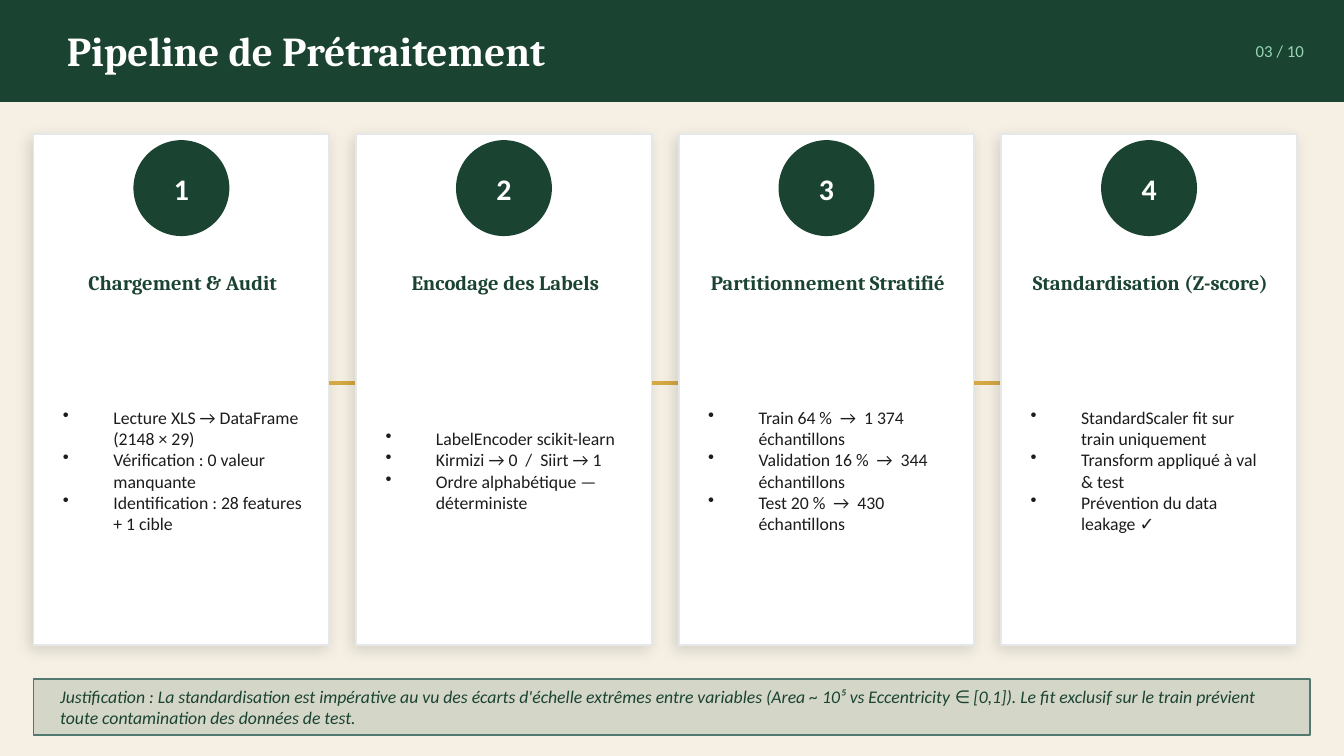
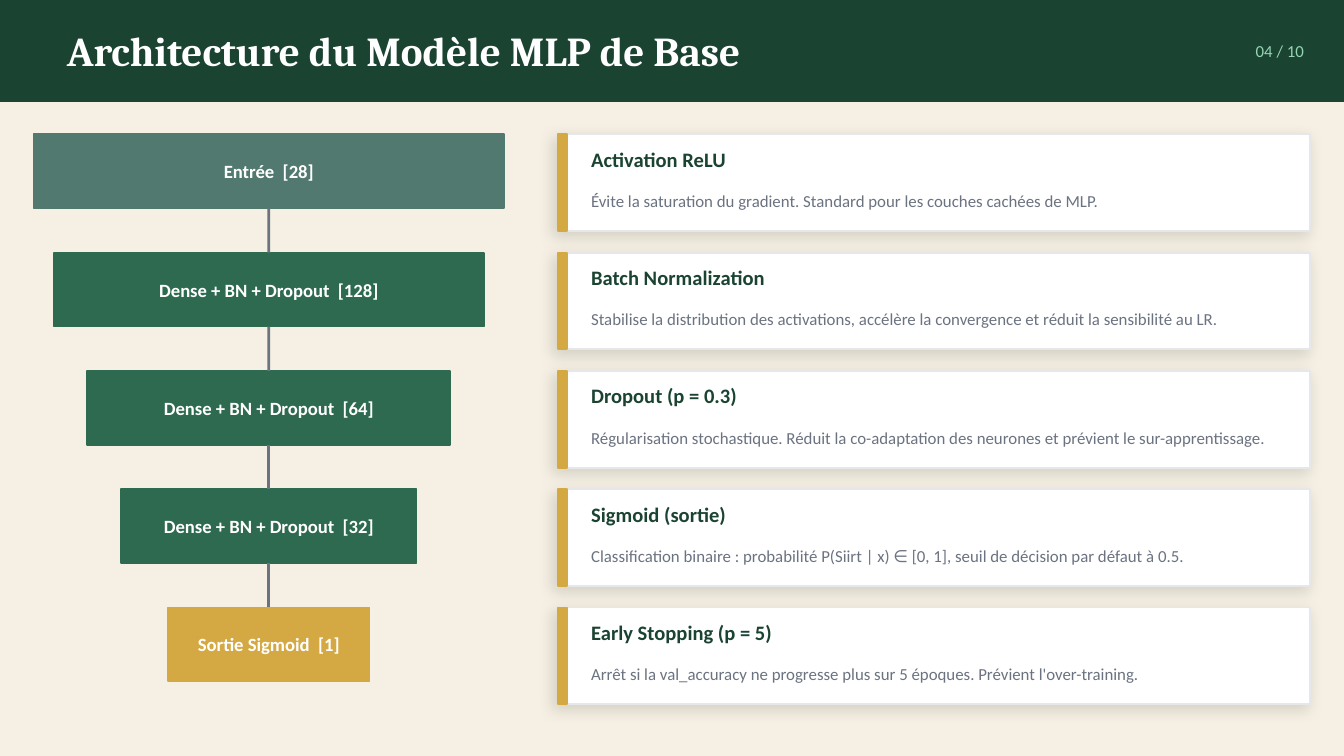
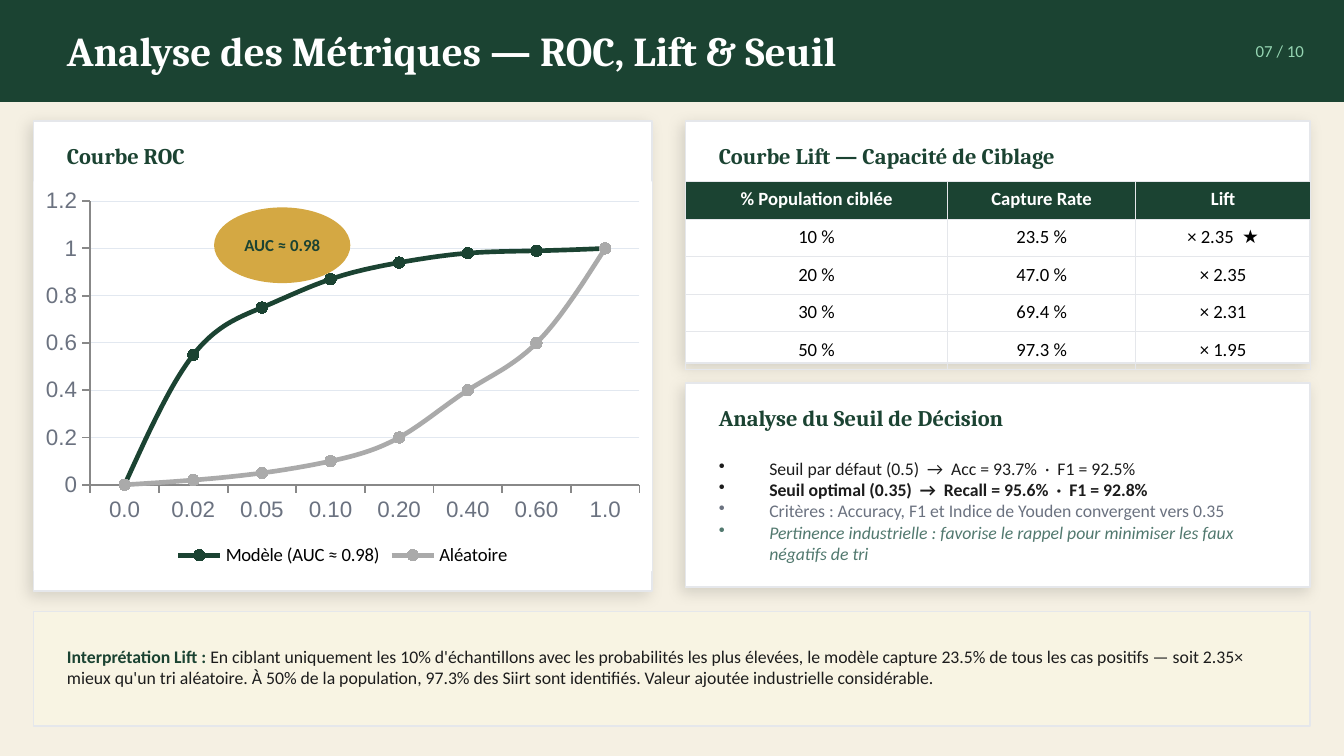
from pptx import Presentation
from pptx.chart.data import CategoryChartData
from pptx.dml.color import RGBColor
from pptx.enum.chart import XL_CHART_TYPE, XL_LEGEND_POSITION, XL_MARKER_STYLE, XL_TICK_LABEL_POSITION
from pptx.enum.shapes import MSO_CONNECTOR, MSO_SHAPE
from pptx.enum.text import MSO_ANCHOR, PP_ALIGN
from pptx.oxml import parse_xml
from pptx.oxml.ns import nsdecls, qn
from pptx.util import Pt

RECT, OVAL = MSO_SHAPE.RECTANGLE, MSO_SHAPE.OVAL
STRAIGHT = MSO_CONNECTOR.STRAIGHT
LEFT, CENTER, RIGHT = PP_ALIGN.LEFT, PP_ALIGN.CENTER, PP_ALIGN.RIGHT
MIDDLE = MSO_ANCHOR.MIDDLE
LINES = XL_CHART_TYPE.LINE_MARKERS
BOTTOM = XL_LEGEND_POSITION.BOTTOM
LOW = XL_TICK_LABEL_POSITION.LOW
DOT = XL_MARKER_STYLE.CIRCLE

CREAM = RGBColor(0xF5, 0xF0, 0xE3)
FOREST = RGBColor(0x1B, 0x43, 0x32)
GREEN = RGBColor(0x2D, 0x6A, 0x4F)
SAGE = RGBColor(0x52, 0x79, 0x6F)
MINT = RGBColor(0x95, 0xD5, 0xB2)
GOLD = RGBColor(0xD4, 0xA8, 0x43)
IVORY = RGBColor(0xF8, 0xF4, 0xE3)
WHITE = RGBColor(0xFF, 0xFF, 0xFF)
BLACK = RGBColor(0x00, 0x00, 0x00)
INK = RGBColor(0x1C, 0x1C, 0x1C)
GRAY = RGBColor(0x6B, 0x72, 0x80)
EDGE = RGBColor(0xE5, 0xE7, 0xEB)
GRID = RGBColor(0xE2, 0xE8, 0xF0)
AXIS = RGBColor(0x88, 0x88, 0x88)
SILVER = RGBColor(0xAA, 0xAA, 0xAA)

HEAD, BODY, PLAIN = "Cambria", "Calibri", "Arial"
WIDE, TALL = 720, 405
BAND = 54
EDGE_X = 18
FULL = WIDE - 2 * EDGE_X
INDENT = 27


def graft(home, xml):
    tag, rest = xml.split(" ", 1)
    home.append(parse_xml(f"{tag} {nsdecls('a')} {rest}"))


def style(font, size=9.5, name=BODY, color=INK, bold=False, italic=False):
    font.size, font.name = Pt(size), name
    font.bold, font.italic = bold, italic
    font.color.rgb = color


def write(frame, text, align=LEFT, bullet=False, **look):
    rows = text if isinstance(text, list) else [text]
    for spot, row in enumerate(rows):
        para = frame.add_paragraph() if spot else frame.paragraphs[0]
        para.alignment = align
        if bullet:
            props = para._p.get_or_add_pPr()
            props.set("marL", str(Pt(INDENT)))
            props.set("indent", str(-Pt(INDENT)))
            graft(props, '<a:buChar char="•"/>')
        for words, extra in [(row, {})] if isinstance(row, str) else row:
            run = para.add_run()
            run.text = words
            style(run.font, **{**look, **extra})


def stroke(line, color, width=1):
    line.color.rgb = color
    line.width = Pt(width)


class Deck:
    def __init__(self):
        self.show = Presentation()
        self.show.slide_width, self.show.slide_height = Pt(WIDE), Pt(TALL)
        self.slide = None

    def page(self, title, number):
        self.slide = self.show.slides.add_slide(self.show.slide_layouts[6])
        fill = self.slide.background.fill
        fill.solid()
        fill.fore_color.rgb = CREAM
        self.shape(0, 0, WIDE, BAND, FOREST)
        self.text(28.8, 0, 576, BAND, title, size=22, name=HEAD, color=WHITE, bold=True)
        self.text(619.2, 0, 86.4, BAND, f"{number:02} / 10", align=RIGHT, size=9, color=MINT)

    def shape(self, x, y, w, h, color, kind=RECT, edge=None, alpha=None):
        item = self.slide.shapes.add_shape(kind, Pt(x), Pt(y), Pt(w), Pt(h))
        item.fill.solid()
        item.fill.fore_color.rgb = color
        if alpha:
            tint = item.element.spPr.find(qn("a:solidFill"))[0]
            graft(tint, f'<a:alpha val="{alpha * 1000}"/>')
        stroke(item.line, edge or color)
        item.shadow.inherit = False
        return item

    def card(self, x, y, w, h):
        item = self.shape(x, y, w, h, WHITE, edge=EDGE)
        graft(item.element.spPr.find(qn("a:effectLst")),
              f'<a:outerShdw blurRad="{Pt(8)}" dist="{Pt(3)}" dir="8100000" algn="bl" rotWithShape="0">'
              '<a:srgbClr val="000000"><a:alpha val="12000"/></a:srgbClr></a:outerShdw>')

    def badge(self, x, y, w, h, fill, text, kind=RECT, **look):
        item = self.shape(x, y, w, h, fill, kind)
        frame = item.text_frame
        frame.margin_left = frame.margin_right = frame.margin_top = frame.margin_bottom = 0
        frame.word_wrap, frame.vertical_anchor = True, MIDDLE
        write(frame, text, align=CENTER, bold=True, **look)
        return item

    def text(self, x, y, w, h, text, **look):
        frame = self.slide.shapes.add_textbox(Pt(x), Pt(y), Pt(w), Pt(h)).text_frame
        frame.word_wrap, frame.vertical_anchor = True, MIDDLE
        write(frame, text, **look)

    def panel(self, x, y, w, h, title):
        self.card(x, y, w, h)
        self.text(x + 10.8, y + 5.76, w - 25, 25.2, title, size=12, name=HEAD, color=FOREST, bold=True)

    def link(self, x1, y1, x2, y2, color, width):
        item = self.slide.shapes.add_connector(STRAIGHT, Pt(x1), Pt(y1), Pt(x2), Pt(y2))
        stroke(item.line, color, width)
        graft(item.element.spPr, "<a:effectLst />")
        return item

    def table(self, x, y, cols, high, rows):
        table = self.slide.shapes.add_table(
            len(rows), len(cols), Pt(x), Pt(y), Pt(sum(cols)), Pt(high * len(rows))).table
        table.horz_banding = False
        for col, wide in zip(table.columns, cols):
            col.width = Pt(wide)
        for r, row in enumerate(rows):
            table.rows[r].height = Pt(high)
            for c, words in enumerate(row):
                cell = table.cell(r, c)
                for side in "LRTB":
                    graft(cell._tc.get_or_add_tcPr(),
                          f'<a:ln{side} w="{Pt(0.5)}"><a:solidFill><a:srgbClr val="{EDGE}"/>'
                          f'</a:solidFill></a:ln{side}>')
                if r:
                    cell.fill.background()
                else:
                    cell.fill.solid()
                    cell.fill.fore_color.rgb = FOREST
                write(cell.text_frame, words, align=CENTER, size=10,
                      color=BLACK if r else WHITE, bold=not r)

    def chart(self, x, y, w, h, cats, data):
        source = CategoryChartData()
        source.categories = cats
        for name, values, _ in data:
            source.add_series(name, values)
        chart = self.slide.shapes.add_chart(LINES, Pt(x), Pt(y), Pt(w), Pt(h), source).chart
        style(chart.font, size=10, color=BLACK)
        chart.has_title = False
        chart.has_legend = True
        chart.legend.position = BOTTOM
        chart.legend.include_in_layout = False
        back = parse_xml(f'<c:spPr {nsdecls("c", "a")}><a:solidFill><a:srgbClr val="{WHITE}"/>'
                         '</a:solidFill><a:ln><a:noFill/></a:ln></c:spPr>')
        chart.element.find(qn("c:chart")).addnext(back)
        for axis in (chart.category_axis, chart.value_axis):
            style(axis.tick_labels.font, size=12, name=PLAIN, color=GRAY)
            stroke(axis.format.line, AXIS)
        chart.category_axis.tick_label_position = LOW
        chart.value_axis.has_major_gridlines = True
        stroke(chart.value_axis.major_gridlines.format.line, GRID, 0.5)
        plot = chart.plots[0]
        plot.vary_by_categories = False
        for line, (_, _, color) in zip(plot.series, data):
            line.smooth = True
            stroke(line.format.line, color, 2.5)
            line.marker.style, line.marker.size = DOT, 6
            line.marker.format.fill.solid()
            line.marker.format.fill.fore_color.rgb = color
            stroke(line.marker.format.line, color)


def steps(deck):
    deck.page("Pipeline de Prétraitement", 3)
    cards = [
        ("Chargement & Audit",
         ["Lecture XLS → DataFrame (2148 × 29)", "Vérification : 0 valeur manquante",
          "Identification : 28 features + 1 cible"]),
        ("Encodage des Labels",
         ["LabelEncoder scikit-learn", "Kirmizi → 0  /  Siirt → 1", "Ordre alphabétique — déterministe"]),
        ("Partitionnement Stratifié",
         ["Train 64 %  →  1 374 échantillons", "Validation 16 %  →  344 échantillons",
          "Test 20 %  →  430 échantillons"]),
        ("Standardisation (Z-score)",
         ["StandardScaler fit sur train uniquement", "Transform appliqué à val & test",
          "Prévention du data leakage ✓"]),
    ]
    wide, pitch = 158.4, 172.8
    for spot, (title, points) in enumerate(cards):
        x = EDGE_X + spot * pitch
        deck.card(x, 72, wide, 273.6)
        deck.badge(x + 54, 75.6, 50.4, 50.4, FOREST, str(spot + 1), OVAL, size=16, color=WHITE)
        deck.text(x + 8.64, 133.2, 142.56, 36, title, align=CENTER,
                  size=11, name=HEAD, color=FOREST, bold=True)
        deck.text(x + 8.64, 176.4, 142.56, 151.2, points, bullet=True)
        if spot < len(cards) - 1:
            deck.link(x + wide, 205.2, x + wide + 15.84, 205.2, GOLD, 2)
    deck.shape(EDGE_X, 363.6, FULL, 30.24, FOREST, edge=SAGE, alpha=15)
    deck.text(25.2, 365.76, 662.4, 25.92,
              "Justification : La standardisation est impérative au vu des écarts d'échelle extrêmes "
              "entre variables (Area ~ 10⁵ vs Eccentricity ∈ [0,1]). Le fit exclusif sur le train "
              "prévient toute contamination des données de test.", color=FOREST, italic=True)


def model(deck):
    deck.page("Architecture du Modèle MLP de Base", 4)
    layers = [
        ("Entrée  [28]", 252, SAGE),
        ("Dense + BN + Dropout  [128]", 230.4, GREEN),
        ("Dense + BN + Dropout  [64]", 194.4, GREEN),
        ("Dense + BN + Dropout  [32]", 158.4, GREEN),
        ("Sortie Sigmoid  [1]", 108, GOLD),
    ]
    notes = [
        ("Activation ReLU",
         "Évite la saturation du gradient. Standard pour les couches cachées de MLP."),
        ("Batch Normalization",
         "Stabilise la distribution des activations, accélère la convergence et réduit la sensibilité au LR."),
        ("Dropout (p = 0.3)",
         "Régularisation stochastique. Réduit la co-adaptation des neurones et prévient le sur-apprentissage."),
        ("Sigmoid (sortie)",
         "Classification binaire : probabilité P(Siirt | x) ∈ [0, 1], seuil de décision par défaut à 0.5."),
        ("Early Stopping (p = 5)",
         "Arrêt si la val_accuracy ne progresse plus sur 5 époques. Prévient l'over-training."),
    ]
    top, pitch, axis = 72, 63.36, 144
    last = None
    for spot, (name, wide, color) in enumerate(layers):
        y = top + spot * pitch
        block = deck.badge(axis - wide / 2, y, wide, 39.6, color, name, size=10, color=WHITE)
        if last:
            wire = deck.link(axis, y - 23.76, axis, y, GRAY, 1.5)
            wire.begin_connect(last, 2)
            wire.end_connect(block, 0)
        last = block
    for spot, (title, words) in enumerate(notes):
        y = top + spot * pitch
        deck.card(298.8, y, 403.2, 51.84)
        deck.shape(298.8, y, 5.04, 51.84, GOLD)
        deck.text(309.6, y + 3.6, 381.6, 19.44, title, size=11, color=FOREST, bold=True)
        deck.text(309.6, y + 23.04, 381.6, 25.2, words, size=9, color=GRAY)


def scores(deck):
    deck.page("Analyse des Métriques — ROC, Lift & Seuil", 7)
    deck.panel(EDGE_X, 64.8, 331.2, 252, "Courbe ROC")
    deck.chart(EDGE_X, 97.2, 331.2, 208.8,
               ["0.0", "0.02", "0.05", "0.10", "0.20", "0.40", "0.60", "1.0"],
               [("Modèle (AUC ≈ 0.98)", [0, 0.55, 0.75, 0.87, 0.94, 0.98, 0.99, 1], FOREST),
                ("Aléatoire", [0, 0.02, 0.05, 0.1, 0.2, 0.4, 0.6, 1], SILVER)])
    deck.badge(115.2, 111.6, 72, 39.6, GOLD, "AUC ≈ 0.98", OVAL, size=9, color=FOREST)

    side, wide = 367.2, 334.8
    deck.panel(side, 64.8, wide, 129.6, "Courbe Lift — Capacité de Ciblage")
    deck.table(side, 97.2, [140.4, 100.8, 93.6], 20.16, [
        ("% Population ciblée", "Capture Rate", "Lift"),
        ("10 %", "23.5 %", "× 2.35  ★"),
        ("20 %", "47.0 %", "× 2.35"),
        ("30 %", "69.4 %", "× 2.31"),
        ("50 %", "97.3 %", "× 1.95"),
    ])
    deck.panel(side, 205.2, wide, 109.44, "Analyse du Seuil de Décision")
    deck.text(side + 10.8, 237.6, 313.2, 72, [
        "Seuil par défaut (0.5)  →  Acc = 93.7%  ·  F1 = 92.5%",
        [("Seuil optimal (0.35)  →  Recall = 95.6%  ·  F1 = 92.8%", {"bold": True})],
        [("Critères : Accuracy, F1 et Indice de Youden convergent vers 0.35", {"color": GRAY})],
        [("Pertinence industrielle : favorise le rappel pour minimiser les faux négatifs de tri",
          {"color": SAGE, "italic": True})],
    ], bullet=True)

    deck.shape(EDGE_X, 327.6, FULL, 61.2, IVORY, edge=EDGE)
    deck.text(28.8, 331.2, 655.2, 51.84, [[
        ("Interprétation Lift : ", {"color": FOREST, "bold": True}),
        ("En ciblant uniquement les 10% d'échantillons avec les probabilités les plus élevées, le modèle "
         "capture 23.5% de tous les cas positifs — soit 2.35× mieux qu'un tri aléatoire. À 50% de la "
         "population, 97.3% des Siirt sont identifiés. Valeur ajoutée industrielle considérable.", {}),
    ]])


def main():
    deck = Deck()
    steps(deck)
    model(deck)
    scores(deck)
    deck.show.save("out.pptx")


if __name__ == "__main__":
    main()
